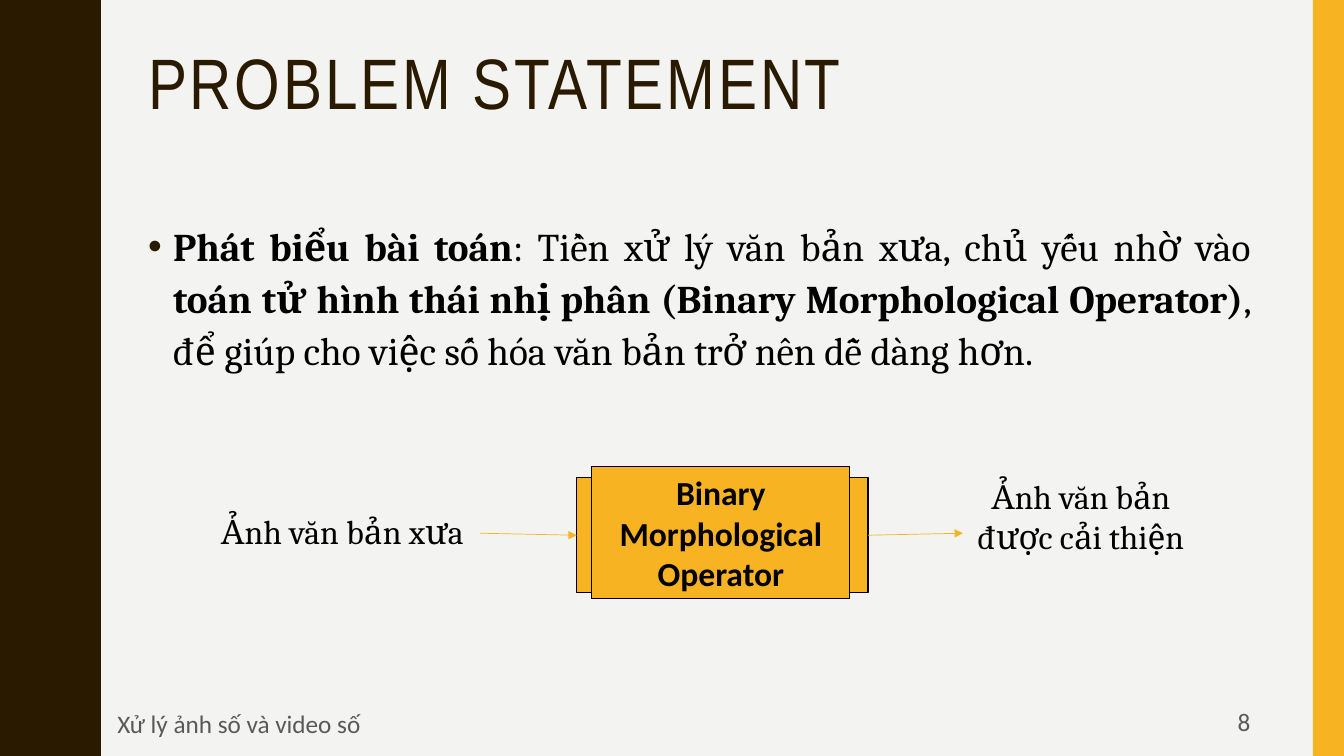
from lxml import etree
from pptx import Presentation
from pptx.dml.color import RGBColor
from pptx.enum import shapes, text
from pptx.oxml.ns import qn
from pptx.util import Inches, Pt

BROWN, AMBER, PAPER, BLACK, GREY = "2A1A00", "F8B323", "F3F3F2", "000000", "595959"
ALIGN = text.PP_ALIGN
ANCHOR = text.MSO_ANCHOR


def rgb(value):
    return RGBColor.from_string(value)


def paint(sp, fill, line=None):
    sp.shadow.inherit = False
    sp.fill.solid()
    sp.fill.fore_color.rgb = rgb(fill)
    if line:
        sp.line.color.rgb = rgb(line)
        sp.line.width = Pt(0.75)
    else:
        sp.line.fill.background()


def place(sp, box):
    sp.left, sp.top, sp.width, sp.height = map(Inches, box)


def write(sp, runs, size, font, color, align=ALIGN.LEFT, anchor=ANCHOR.TOP, spacing=1.0):
    tf = sp.text_frame
    tf.word_wrap = True
    tf.auto_size = text.MSO_AUTO_SIZE.NONE
    tf.vertical_anchor = anchor
    p = tf.paragraphs[0]
    p.alignment = align
    p.line_spacing = spacing
    for words, bold in runs:
        r = p.add_run()
        r.text = words
        r.font.size = Pt(size)
        r.font.name = font
        r.font.bold = bold
        r.font.color.rgb = rgb(color)
    return p


def add_text(s, box, runs, size, font, color, **layout):
    sp = s.shapes.add_textbox(*map(Inches, box))
    return write(sp, runs, size, font, color, **layout)


def add_rect(s, box, fill, line=None):
    sp = s.shapes.add_shape(shapes.MSO_SHAPE.RECTANGLE, *map(Inches, box))
    paint(sp, fill, line)
    return sp


def add_bullet(p, color):
    pPr = p._p.get_or_add_pPr()
    pPr.set("marL", str(Inches(0.25)))
    pPr.set("indent", str(-Inches(0.25)))
    buClr = etree.SubElement(pPr, qn("a:buClr"))
    etree.SubElement(buClr, qn("a:srgbClr"), val=color)
    etree.SubElement(pPr, qn("a:buFont"), typeface="Arial")
    etree.SubElement(pPr, qn("a:buChar"), char="•")


def add_arrow(s, start, end):
    cx = s.shapes.add_connector(shapes.MSO_CONNECTOR.STRAIGHT, *map(Inches, start + end))
    cx.line.color.rgb = rgb(AMBER)
    cx.line.width = Pt(0.5)
    etree.SubElement(cx.line._get_or_add_ln(), qn("a:tailEnd"), type="triangle")
    etree.SubElement(cx._element.spPr, qn("a:effectLst"))


def add_wave(s):
    rise = [(0.78, 0), (0.78, 0.07), (0.79, 0.14), (0.8, 0.2), (0.81, 0.25), (0.83, 0.29),
            (0.85, 0.33), (0.87, 0.38), (0.89, 0.42), (0.91, 0.46), (0.93, 0.5),
            (0.95, 0.55), (0.96, 0.61), (0.97, 0.68), (0.97, 0.75)]
    fall = [(x, 1.5 - y) for x, y in reversed(rise[1:-1])]
    edge = [(x, y + 1.5 * n) for n in range(5) for x, y in rise + fall]
    points = edge + [(0.78, 7.5), (0, 7.5)]
    fb = s.shapes.build_freeform(0, 0, scale=Inches(1))
    fb.add_line_segments(points, close=True)
    paint(fb.convert_to_shape(), BROWN)


def add_title(s, words):
    sp = s.shapes.title
    place(sp, (1.37, 0.42, 11.13, 1.63))
    p = write(sp, [(words, False)], 51, "Arial Narrow", BROWN, spacing=0.9)
    p.runs[0].font._element.set("spc", "200")


def add_flow(s):
    for left in (8.31, 5.72):
        add_rect(s, (left, 4.74, 0.3, 1.14), AMBER, BLACK)
    add_text(s, (2.02, 4.98, 2.75, 0.62), [("Ảnh văn bản xưa", False)],
             24, "Cambria", BLACK, align=ALIGN.CENTER, spacing=1.1)
    add_text(s, (9.55, 4.67, 2.34, 1.25), [("Ảnh văn bản được cải thiện", False)],
             23.8, "Cambria", BLACK, align=ALIGN.CENTER)
    operator = add_rect(s, (5.87, 4.63, 2.56, 1.31), AMBER, BLACK)
    write(operator, [("Binary Morphological Operator", True)], 24, "Calibri", BLACK,
          align=ALIGN.CENTER, anchor=ANCHOR.MIDDLE)
    add_arrow(s, (4.76, 5.29), (5.72, 5.31))
    add_arrow(s, (8.61, 5.31), (9.55, 5.29))


def main():
    prs = Presentation()
    prs.slide_width, prs.slide_height = Inches(13.33), Inches(7.5)
    s = prs.slides.add_slide(prs.slide_layouts[5])
    s.background.fill.solid()
    s.background.fill.fore_color.rgb = rgb(PAPER)

    add_wave(s)
    add_rect(s, (13.02, 0, 0.31, 7.5), AMBER)
    add_title(s, "PROBLEM STATEMENT")
    statement = [
        ("Phát biểu bài toán", True),
        (": Tiền xử lý văn bản xưa, chủ yếu nhờ vào ", False),
        ("toán tử hình thái nhị phân (Binary Morphological Operator)", True),
        (", để giúp cho việc số hóa văn bản trở nên dễ dàng hơn.", False),
    ]
    p = add_text(s, (1.37, 2.11, 11.13, 1.25), statement, 28, "Cambria", BLACK,
                 align=ALIGN.JUSTIFY, spacing=1.1)
    add_bullet(p, BROWN)
    add_flow(s)
    add_text(s, (0.12, 6.99, 4.5, 0.38), [("Xử lý ảnh số và video số", False)],
             18, "Calibri", GREY, align=ALIGN.CENTER, anchor=ANCHOR.MIDDLE)
    add_text(s, (9.42, 6.97, 3.08, 0.38), [("8", False)],
             18, "Calibri", GREY, align=ALIGN.RIGHT, anchor=ANCHOR.MIDDLE)
    prs.save("out.pptx")


if __name__ == "__main__":
    main()
